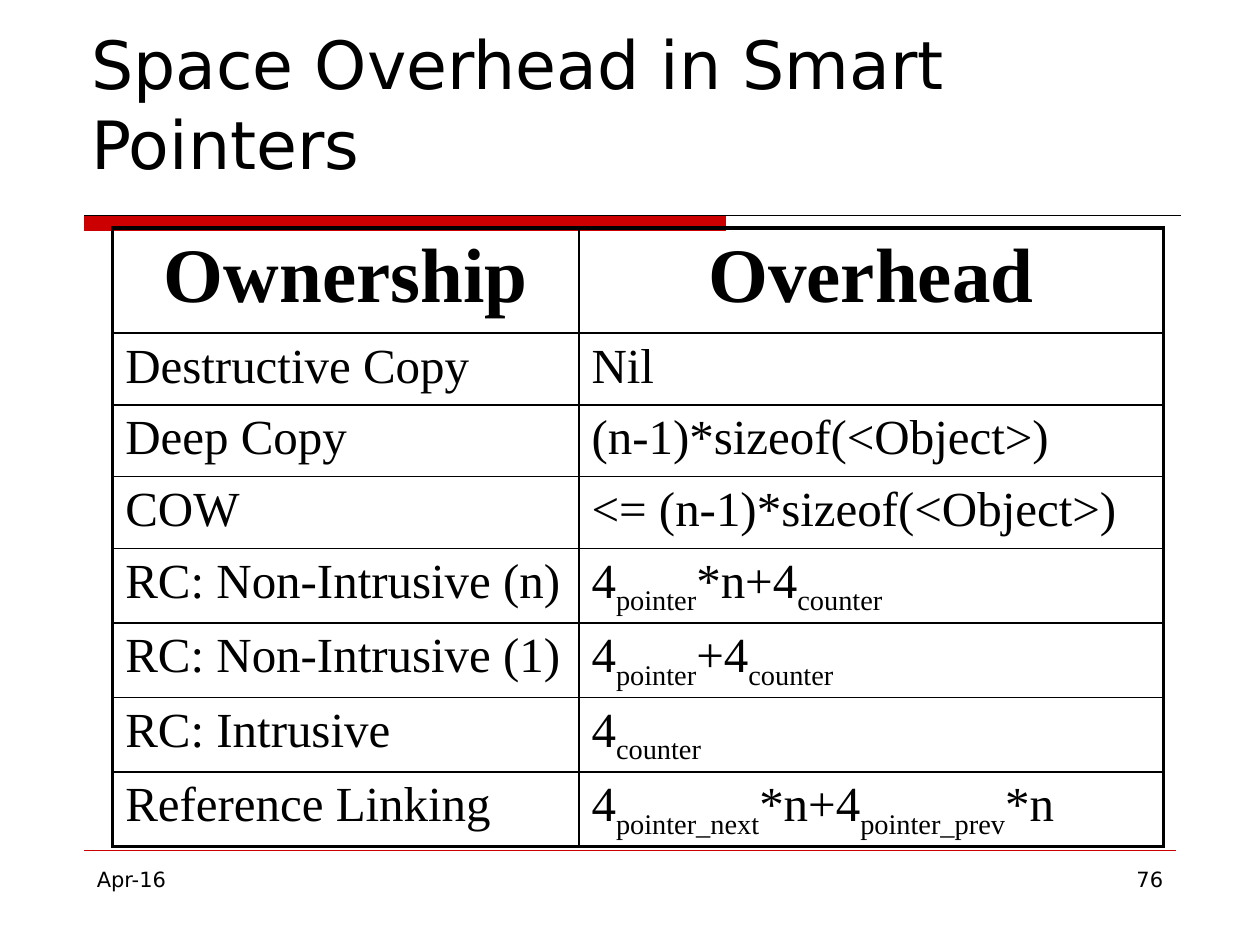
from dataclasses import dataclass

from lxml.etree import SubElement
from pptx import Presentation
from pptx.dml.color import RGBColor
from pptx.enum.shapes import MSO_CONNECTOR, MSO_SHAPE
from pptx.enum.text import MSO_ANCHOR, PP_ALIGN
from pptx.oxml.ns import qn
from pptx.util import Inches, Pt


@dataclass(frozen=True)
class Theme:
    """Colours, fonts and point sizes of the deck."""

    ink: RGBColor = RGBColor(0, 0, 0)
    accent: RGBColor = RGBColor(0xCC, 0, 0)
    sans: str = "DejaVu Sans"
    serif: str = "Times New Roman"
    title: int = 38
    heading: int = 44
    body: int = 28
    footer: int = 12
    hairline: float = 0.75
    inner: float = 1
    outer: float = 2.25


@dataclass(frozen=True)
class Box:
    """A rectangle in cells of a grid of 100 columns by 75 rows."""

    left: float
    top: float
    width: float
    height: float

    def lengths(self):
        """Return left, top, width and height as slide lengths."""
        return [grid(n) for n in (self.left, self.top, self.width, self.height)]


THEME = Theme()
ROWS = [
    ("Ownership", "Overhead"),
    ("Destructive Copy", "Nil"),
    ("Deep Copy", "(n-1)*sizeof(<Object>)"),
    ("COW", "<= (n-1)*sizeof(<Object>)"),
    ("RC: Non-Intrusive (n)", "4|pointer|*n+4|counter"),
    ("RC: Non-Intrusive (1)", "4|pointer|+4|counter"),
    ("RC: Intrusive", "4|counter"),
    ("Reference Linking", "4|pointer_next|*n+4|pointer_prev|*n"),
]


def grid(cells):
    """Return the length of a number of grid cells."""
    return Inches(cells / 10)


def style(para, face, size, align=PP_ALIGN.LEFT, bold=False):
    """Set the alignment and font of a whole paragraph."""
    para.alignment = align
    para.font.name = face
    para.font.size = Pt(size)
    para.font.bold = bold
    para.font.color.rgb = THEME.ink


def add_text(page, box, text, size, align=PP_ALIGN.LEFT, anchor=MSO_ANCHOR.TOP):
    """Place one wrapped line of sans text in the box."""
    frame = page.shapes.add_textbox(*box.lengths()).text_frame
    frame.word_wrap = True
    frame.vertical_anchor = anchor
    para = frame.paragraphs[0]
    para.text = text
    style(para, THEME.sans, size, align)


def add_rule(page, box, color):
    """Draw a hairline along the top of the box."""
    left, top, width, _ = box.lengths()
    rule = page.shapes.add_connector(
        MSO_CONNECTOR.STRAIGHT, left, top, left + width, top
    )
    rule.line.color.rgb = color
    rule.line.width = Pt(THEME.hairline)
    SubElement(rule._element.spPr, qn("a:effectLst"))


def add_title(page, box, text):
    """Place the title at the bottom of the box."""
    add_text(page, box, text, THEME.title, anchor=MSO_ANCHOR.BOTTOM)


def add_divider(page, box, share):
    """Place an accent bar over a share of the box and a rule along its top."""
    bar_box = Box(box.left, box.top, box.width * share, box.height)
    bar = page.shapes.add_shape(MSO_SHAPE.RECTANGLE, *bar_box.lengths())
    bar.shadow.inherit = False
    bar.fill.solid()
    bar.fill.fore_color.rgb = THEME.accent
    bar.line.color.rgb = THEME.accent
    bar.line.width = Pt(THEME.hairline)
    add_rule(page, box, THEME.ink)


def add_footer(page, box, date, number):
    """Place a rule, the date at the left and the page number at the right."""
    add_rule(page, box, THEME.accent)
    line = Box(box.left, box.top + 0.8, box.width, box.height - 0.8)
    half = line.width / 2
    add_text(page, Box(line.left, line.top, half, line.height), date, THEME.footer)
    right = Box(line.left + half, line.top, half, line.height)
    add_text(page, right, number, THEME.footer, PP_ALIGN.RIGHT)


def set_borders(cell, outer_sides):
    """Draw the four borders of a cell, heavier on the outer sides."""
    properties = cell._tc.get_or_add_tcPr()
    for side in "LRTB":
        width = THEME.outer if side in outer_sides else THEME.inner
        line = SubElement(properties, qn(f"a:ln{side}"), w=str(Pt(width)))
        fill = SubElement(line, qn("a:solidFill"))
        SubElement(fill, qn("a:srgbClr"), val=str(THEME.ink))


def fill_cell(cell, text, heading):
    """Write a cell, with every second piece of its text as a subscript."""
    para = cell.text_frame.paragraphs[0]
    for index, piece in enumerate(text.split("|")):
        span = para.add_run()
        span.text = piece
        if index % 2:
            span._r.get_or_add_rPr().set("baseline", "-25000")
    size = THEME.heading if heading else THEME.body
    align = PP_ALIGN.CENTER if heading else PP_ALIGN.LEFT
    style(para, THEME.serif, size, align, heading)
    cell.margin_bottom = grid(0.5 if heading else 0.1)


def add_overhead_table(page, box, rows, first_width, first_height):
    """Place the table with its first column and heading row sized apart."""
    last_row, last_column = len(rows) - 1, len(rows[0]) - 1
    frame = page.shapes.add_table(last_row + 1, last_column + 1, *box.lengths())
    table = frame.table
    table.horz_banding = False
    table.first_row = False
    for index, column in enumerate(table.columns):
        column.width = grid((box.width - first_width) if index else first_width)
    body_height = (box.height - first_height) / last_row
    for r, texts in enumerate(rows):
        table.rows[r].height = grid(body_height if r else first_height)
        for c, text in enumerate(texts):
            edges = {"L": c == 0, "R": c == last_column, "T": r == 0, "B": r == last_row}
            cell = table.cell(r, c)
            set_borders(cell, [side for side, outer in edges.items() if outer])
            cell.fill.background()
            fill_cell(cell, text, r == 0)


def main():
    """Build the slide and save the deck."""
    deck = Presentation()
    deck.slide_width, deck.slide_height = grid(100), grid(75)
    page = deck.slides.add_slide(deck.slide_layouts[6])
    add_divider(page, Box(6.7, 17.1, 87, 1.2), 0.585)
    add_footer(page, Box(6.7, 67.5, 86.6, 6), "Apr-16", "76")
    add_title(page, Box(6.25, 2.5, 87.9, 12.5), "Space Overhead in Smart Pointers")
    add_overhead_table(page, Box(8.95, 18.1, 83.4, 48.2), ROWS, 37, 8.3)
    deck.save("out.pptx")


if __name__ == "__main__":
    main()
